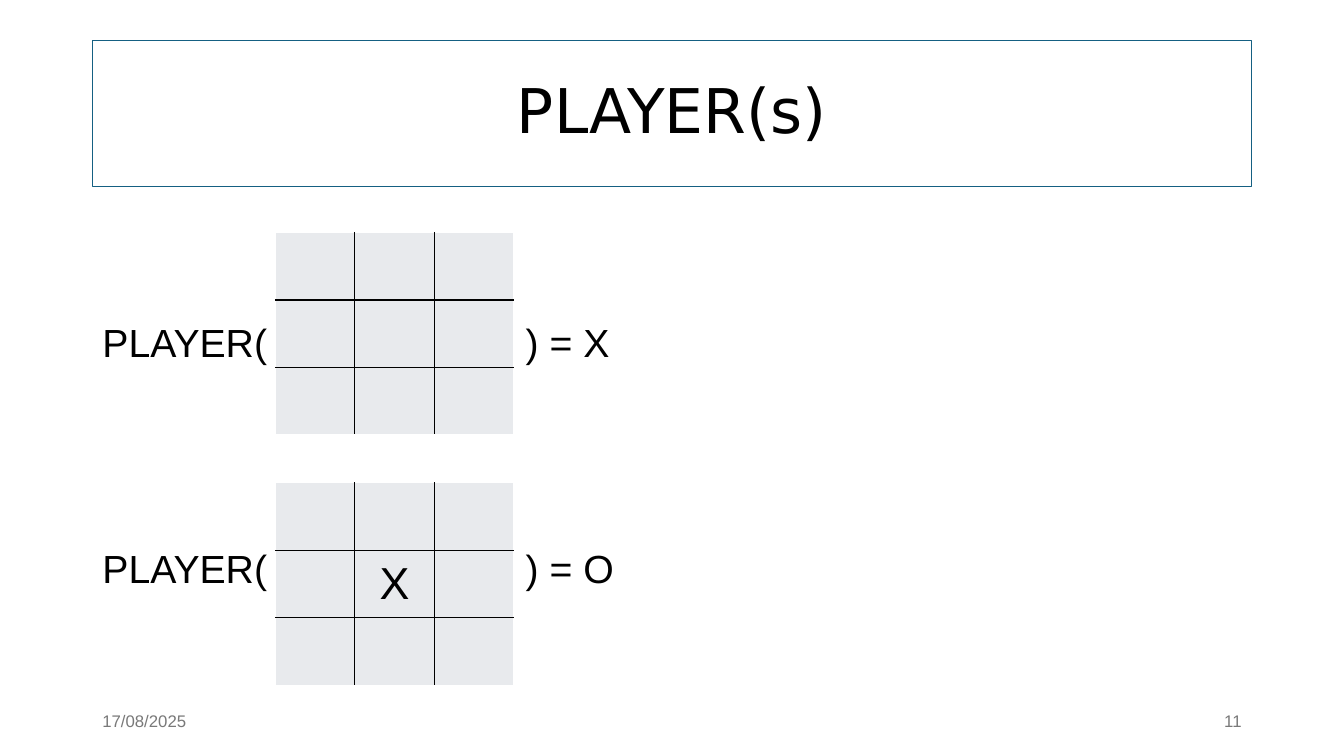
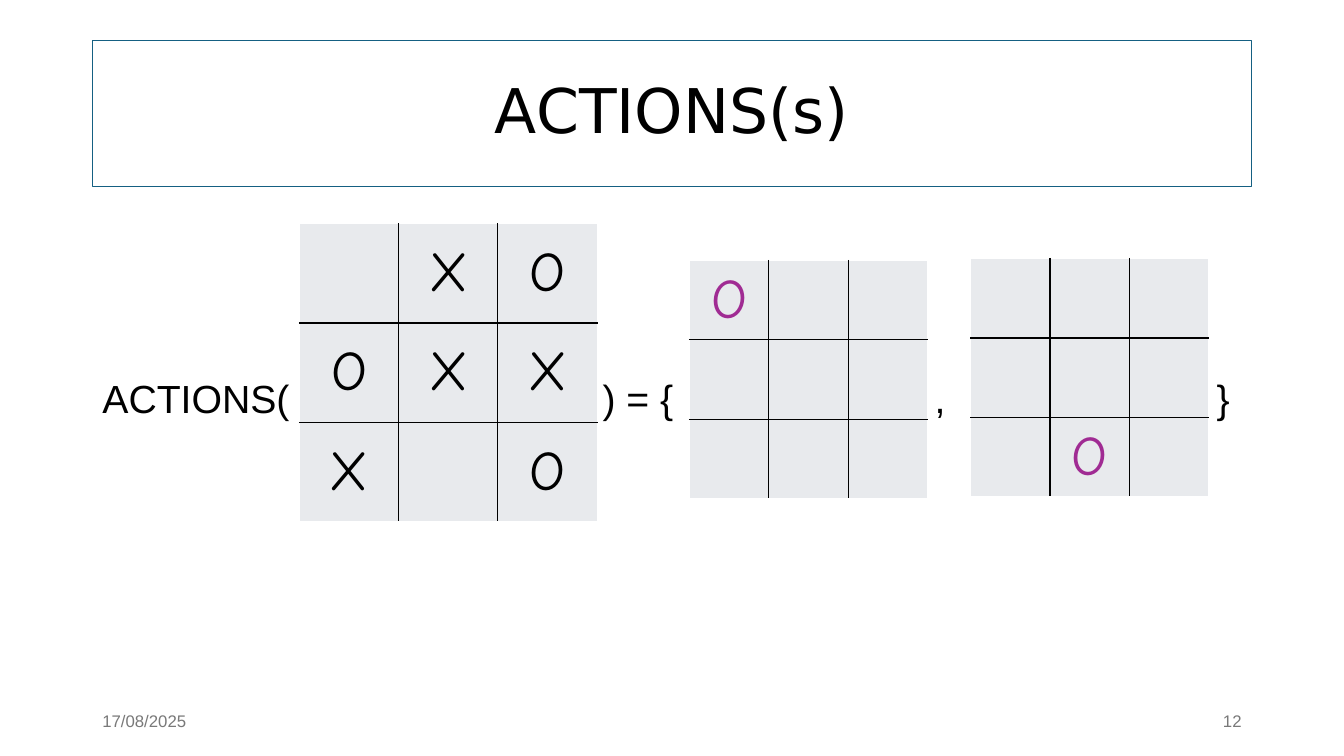
from lxml import etree
from pptx import Presentation
from pptx import util as u
from pptx.dml import color
from pptx.enum import text
from pptx.oxml import ns

Pt = u.Pt
BLACK, WHITE, BLUE = "000000", "FFFFFF", "156082"
GRAY, CELL, PINK = "797979", "E8EAED", "A02B93"
LEFT, WIDE, BODY = 66, 828, 144
MID = text.MSO_ANCHOR.MIDDLE
TOP = text.MSO_ANCHOR.TOP
FIXED = text.MSO_AUTO_SIZE.NONE
ALIGN = text.PP_ALIGN


def hue(code):
    return color.RGBColor.from_string(code)


def put(item, **vals):
    for name, val in vals.items():
        setattr(item, name, val)


def node(root, tag, **vals):
    part = etree.SubElement(root, ns.qn(tag))
    for name, val in vals.items():
        part.set(name, str(val))
    return part


class Deck:
    def __init__(self):
        self.prs = Presentation()
        put(self.prs, slide_width=Pt(960), slide_height=Pt(540))
        self.slide = None

    def place(self, shape, left, top, width, height):
        put(shape, left=Pt(left), top=Pt(top), width=Pt(width), height=Pt(height))

    def style(self, para, size, face="Arial", shade=BLACK, **form):
        put(para, **form)
        for run in para.runs:
            put(run.font, size=Pt(size), name=face)
            run.font.color.rgb = hue(shade)

    def start(self, title, number):
        self.slide = self.prs.slides.add_slide(self.prs.slide_layouts[1])
        self.title(title)
        self.note("17/08/2025", LEFT, ALIGN.LEFT)
        self.note(number, LEFT + WIDE - 216, ALIGN.RIGHT)

    def title(self, words):
        head = self.slide.shapes.title
        self.place(head, LEFT, 28.8, WIDE, 104.4)
        head.line.color.rgb = hue(BLUE)
        head.line.width = Pt(0.75)
        frame = head.text_frame
        put(frame, text=words, word_wrap=True, vertical_anchor=MID, auto_size=FIXED)
        self.style(frame.paragraphs[0], 44, "DejaVu Sans",
                   alignment=ALIGN.CENTER, line_spacing=0.9)

    def note(self, words, left, align):
        box = self.slide.shapes.add_textbox(Pt(left), Pt(500.4), Pt(216), Pt(28.8))
        frame = box.text_frame
        put(frame, text=words, word_wrap=True, vertical_anchor=MID)
        self.style(frame.paragraphs[0], 12, shade=GRAY, alignment=align)

    def body(self, lines, top, gap=0):
        hold = self.slide.placeholders[1]
        self.place(hold, LEFT, BODY, WIDE, 342.72)
        frame = hold.text_frame
        put(frame, text="\n".join(lines), word_wrap=True, auto_size=FIXED,
            vertical_anchor=TOP, margin_top=Pt(top - BODY))
        for rank, para in enumerate(frame.paragraphs):
            self.style(para, 28, alignment=ALIGN.LEFT, line_spacing=0.9,
                       space_before=Pt(gap if rank else 0))
            prop = para._p.get_or_add_pPr()
            for name in ("marL", "indent"):
                prop.set(name, "0")
            node(prop, "a:buNone")

    def term(self, words, left, top, width):
        box = self.slide.shapes.add_textbox(Pt(left), Pt(top), Pt(width), Pt(34))
        frame = box.text_frame
        put(frame, text=words, word_wrap=False, auto_size=FIXED,
            vertical_anchor=TOP, margin_left=0, margin_top=0,
            margin_right=0, margin_bottom=0)
        self.style(frame.paragraphs[0], 28, alignment=ALIGN.LEFT, line_spacing=0.9)

    def edge(self, cell, row, col):
        prop = cell._tc.get_or_add_tcPr()
        sides = {"L": col == 0, "R": col == 2, "T": row == 0, "B": row == 2}
        for side, rim in sides.items():
            line = node(prop, "a:ln" + side, w=int(Pt(1)))
            fill = node(line, "a:solidFill")
            node(fill, "a:srgbClr", val=WHITE if rim else BLACK)

    def board(self, left, top, wide, high, marks=("   ",) * 3, size=40,
              face="Comic Neue", shade=BLACK):
        grid = self.slide.shapes.add_table(
            3, 3, Pt(left), Pt(top), Pt(3 * wide), Pt(3 * high)).table
        put(grid, first_row=False, horz_banding=False)
        for col in grid.columns:
            col.width = Pt(wide)
        for row, line in enumerate(marks):
            grid.rows[row].height = Pt(high)
            for col, mark in enumerate(line):
                cell = grid.cell(row, col)
                self.edge(cell, row, col)
                cell.fill.solid()
                cell.fill.fore_color.rgb = hue(CELL)
                cell.vertical_anchor = MID
                if mark != " ":
                    cell.text = mark
                    self.style(cell.text_frame.paragraphs[0], size, face, shade,
                               alignment=ALIGN.CENTER)


def main():
    deck = Deck()

    deck.start("PLAYER(s)", "11")
    top, step = 231.5, 161.4
    deck.body(["PLAYER("] * 2, top, 130.9)
    for rank, side in enumerate("XO"):
        deck.term(") = " + side, 375.5, top + rank * step, 80)
    deck.board(196.8, 166.1, 56.7, 48.24)
    deck.board(196.8, 344.88, 56.7, 48.24, ("   ", " X ", "   "), 32, "Arial")

    deck.start("ACTIONS(s)", "12")
    top = 271.5
    deck.body(["ACTIONS("], top)
    for words, left, width in ((") = {", 430.4, 58), (",", 667.6, 16), ("}", 869, 16)):
        deck.term(words, left, top, width)
    deck.board(213.84, 159.84, 70.9, 70.9, (" XO", "OXX", "X O"))
    deck.board(492.48, 186.1, 56.7, 56.7, ("O  ", "   ", "   "), shade=PINK)
    deck.board(693.36, 184.7, 56.7, 56.7, ("   ", "   ", " O "), shade=PINK)

    deck.prs.save("out.pptx")


if __name__ == "__main__":
    main()
